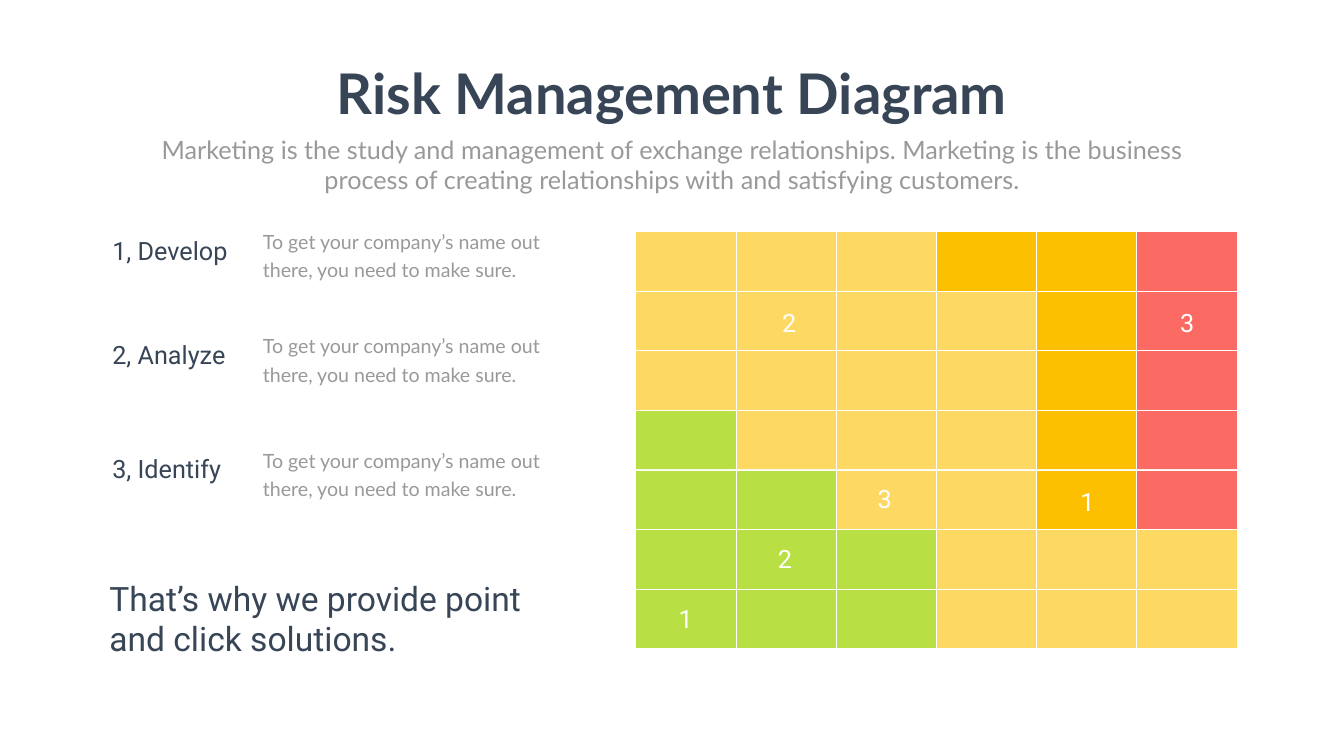
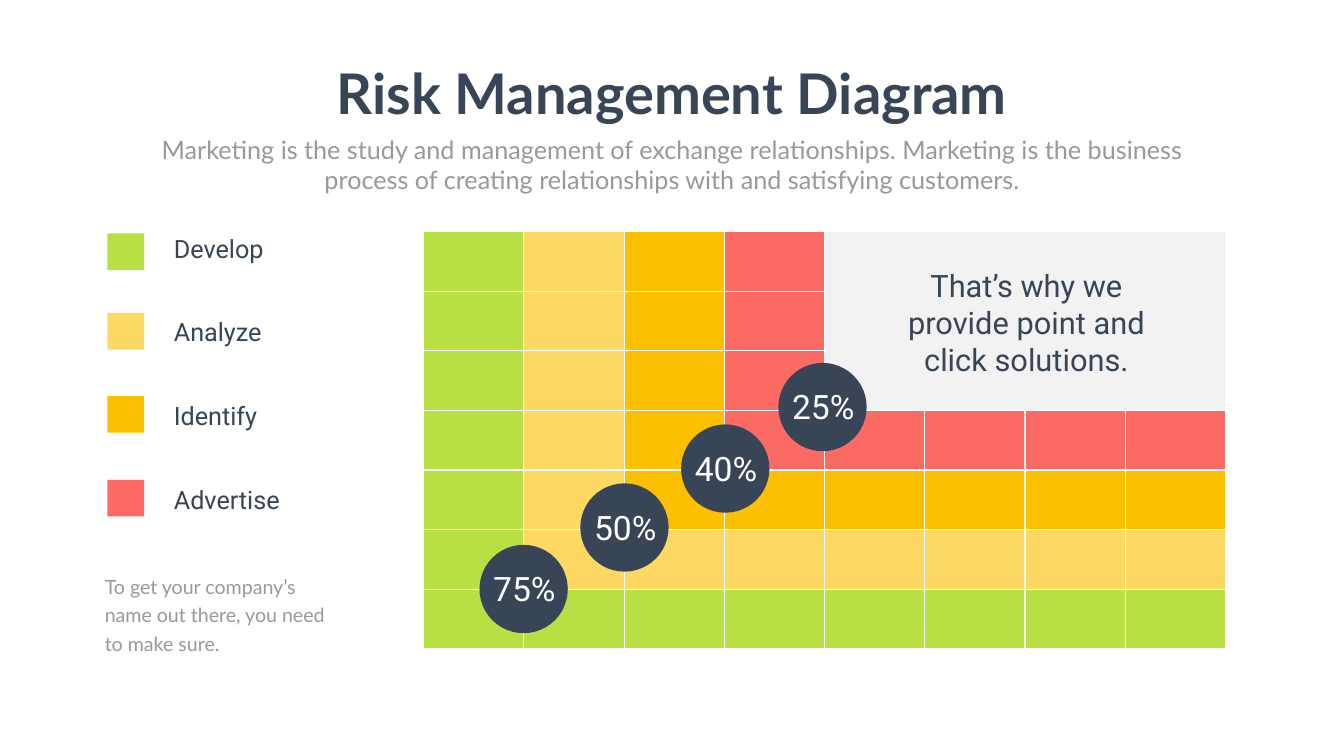
import pptx
import pptx.dml.color
import pptx.enum.shapes
import pptx.enum.text
import pptx.util
import lxml.etree

Cm = pptx.util.Cm
Pt = pptx.util.Pt
RGBColor = pptx.dml.color.RGBColor
MSO_SHAPE = pptx.enum.shapes.MSO_SHAPE
CENTER = pptx.enum.text.PP_ALIGN.CENTER

COLORS = {
    "background": "FEFFFE",
    "white": "FFFFFF",
    "navy": "374556",
    "grey": "999999",
    "panel": "808080",
    "G": "B8DF43",
    "Y": "FDD964",
    "O": "FCC000",
    "R": "FB6B64",
}
BANDS = "GYOR"

STYLES = {
    "title": {"color": "navy", "font": {"name": "Lato", "size": Pt(80), "bold": True},
              "paragraph": {"alignment": CENTER}, "frame": {"word_wrap": False}},
    "subtitle": {"color": "grey", "font": {"name": "Lato", "size": Pt(36)},
                 "paragraph": {"alignment": CENTER}},
    "note": {"color": "grey", "font": {"name": "Lato", "size": Pt(28)},
             "paragraph": {"line_spacing": Pt(40.8)}},
    "label": {"color": "navy", "font": {"name": "Roboto", "size": Pt(36)}},
    "number": {"color": "white", "font": {"name": "Roboto", "size": Pt(36)},
               "paragraph": {"alignment": CENTER}},
    "percent": {"color": "white", "font": {"name": "Roboto", "size": Pt(48)},
                "paragraph": {"alignment": CENTER}, "frame": {"word_wrap": False}},
    "statement": {"color": "navy", "font": {"name": "Roboto", "size": Pt(48)}},
    "panel": {"color": "navy", "font": {"name": "Roboto", "size": Pt(44)},
              "paragraph": {"alignment": CENTER}},
}

TITLE = "Risk Management Diagram"
SUBTITLE = ("Marketing is the study and management of exchange relationships. "
            "Marketing is the business process of creating relationships with "
            "and satisfying customers.")
NOTE = "To get your company’s name out there, you need to make sure."
STATEMENT = "That’s why we provide point and click solutions."

CELL_WIDTH, CELL_HEIGHT = 5.05, 3
GRID_TOP = 11.68


def add_text(slide, text, style_name, left, top, width, height):
    style = STYLES[style_name]
    box = slide.shapes.add_textbox(Cm(left), Cm(top), Cm(width), Cm(height))
    frame = box.text_frame
    frame.word_wrap = True
    frame.auto_size = pptx.enum.text.MSO_AUTO_SIZE.SHAPE_TO_FIT_TEXT
    paragraph = frame.paragraphs[0]
    run = paragraph.add_run()
    run.text = text
    targets = {"frame": frame, "paragraph": paragraph, "font": run.font}
    for key, target in targets.items():
        for name, value in style.get(key, {}).items():
            setattr(target, name, value)
    run.font.color.rgb = RGBColor.from_string(COLORS[style["color"]])


def add_block(slide, kind, color, left, top, width, height, outlined=False):
    shape = slide.shapes.add_shape(kind, Cm(left), Cm(top), Cm(width), Cm(height))
    shape.shadow.inherit = False
    shape.fill.solid()
    shape.fill.fore_color.rgb = RGBColor.from_string(COLORS[color])
    if outlined:
        shape.line.color.rgb = RGBColor.from_string(COLORS["white"])
        shape.line.width = Pt(1)
    else:
        shape.line.fill.background()
    return shape


presentation = pptx.Presentation()
presentation.slide_width = Cm(67.72)
presentation.slide_height = Cm(38.1)

matrix_slide, bands_slide = [
    presentation.slides.add_slide(presentation.slide_layouts[6]) for _ in range(2)
]
for slide in (matrix_slide, bands_slide):
    slide.background.fill.solid()
    slide.background.fill.fore_color.rgb = RGBColor.from_string(COLORS["background"])
    add_text(slide, TITLE, "title", 16.41, 2.84, 34.9, 3.68)
    add_text(slide, SUBTITLE, "subtitle", 7.42, 6.63, 52.88, 3.33)

risk_matrix = ["YYYOOR", "YYYYOR", "YYYYOR", "GYYYOR", "GGYYOR", "GGGYYY", "GGGYYY"]
for row, levels in enumerate(risk_matrix):
    for column, level in enumerate(levels):
        add_block(matrix_slide, MSO_SHAPE.RECTANGLE, level,
                  32.03 + column * CELL_WIDTH, GRID_TOP + row * CELL_HEIGHT,
                  CELL_WIDTH, CELL_HEIGHT, outlined=True)

matrix_numbers = [
    ("1", 33.3, 30.28), ("2", 38.3, 27.25), ("3", 43.33, 24.23),
    ("1", 53.54, 24.36), ("2", 38.51, 15.34), ("3", 58.57, 15.34),
]
for number, left, top in matrix_numbers:
    add_text(matrix_slide, number, "number", left, top, 2.51, 1.8)

steps = [("1, Develop", 11.2), ("2, Analyze", 16.46), ("3, Identify", 22.23)]
for step, top in steps:
    add_text(matrix_slide, NOTE, "note", 13, top, 14.53, 2.77)
    add_text(matrix_slide, step, "label", 5.41, top + 0.51, 14.53, 1.8)
add_text(matrix_slide, STATEMENT, "statement", 5.26, 28.98, 22.99, 4.37)

bands_left = 21.34
for row in range(7):
    for column in range(8):
        band = min(column, 6 - row)
        if band < len(BANDS):
            add_block(bands_slide, MSO_SHAPE.RECTANGLE, BANDS[band],
                      bands_left + column * CELL_WIDTH, GRID_TOP + row * CELL_HEIGHT,
                      CELL_WIDTH, CELL_HEIGHT, outlined=True)

panel = add_block(bands_slide, MSO_SHAPE.RECTANGLE, "panel",
                  bands_left + 4 * CELL_WIDTH, GRID_TOP,
                  4 * CELL_WIDTH, 3 * CELL_HEIGHT, outlined=True)
panel_color = panel.fill._xPr.find(".//" + pptx.oxml.ns.qn("a:srgbClr"))
lxml.etree.SubElement(panel_color, pptx.oxml.ns.qn("a:alpha"), val="10000")
add_text(bands_slide, STATEMENT, "panel", 44.27, 13.34, 14.91, 5.89)

percentages = [
    ("75%", 24.16, 27.46), ("50%", 29.24, 24.36),
    ("40%", 34.32, 21.39), ("25%", 39.22, 18.29),
]
for percentage, left, top in percentages:
    add_block(bands_slide, MSO_SHAPE.OVAL, "navy", left, top, 4.45, 4.45)
    add_text(bands_slide, percentage, "percent", left + 0.41, top + 1.05, 3.71, 2.31)

legend = [("Develop", 11.76), ("Analyze", 15.77), ("Identify", 19.96), ("Advertise", 24.18)]
for index, (name, swatch_top) in enumerate(legend):
    add_block(bands_slide, MSO_SHAPE.RECTANGLE, BANDS[index], 5.41, swatch_top, 1.85, 1.85)
    add_text(bands_slide, name, "label", 8.51, 11.61 + index * 4.23, 7.37, 1.8)
add_text(bands_slide, NOTE, "note", 5.03, 28.58, 12.01, 4.5)

presentation.save("out.pptx")
